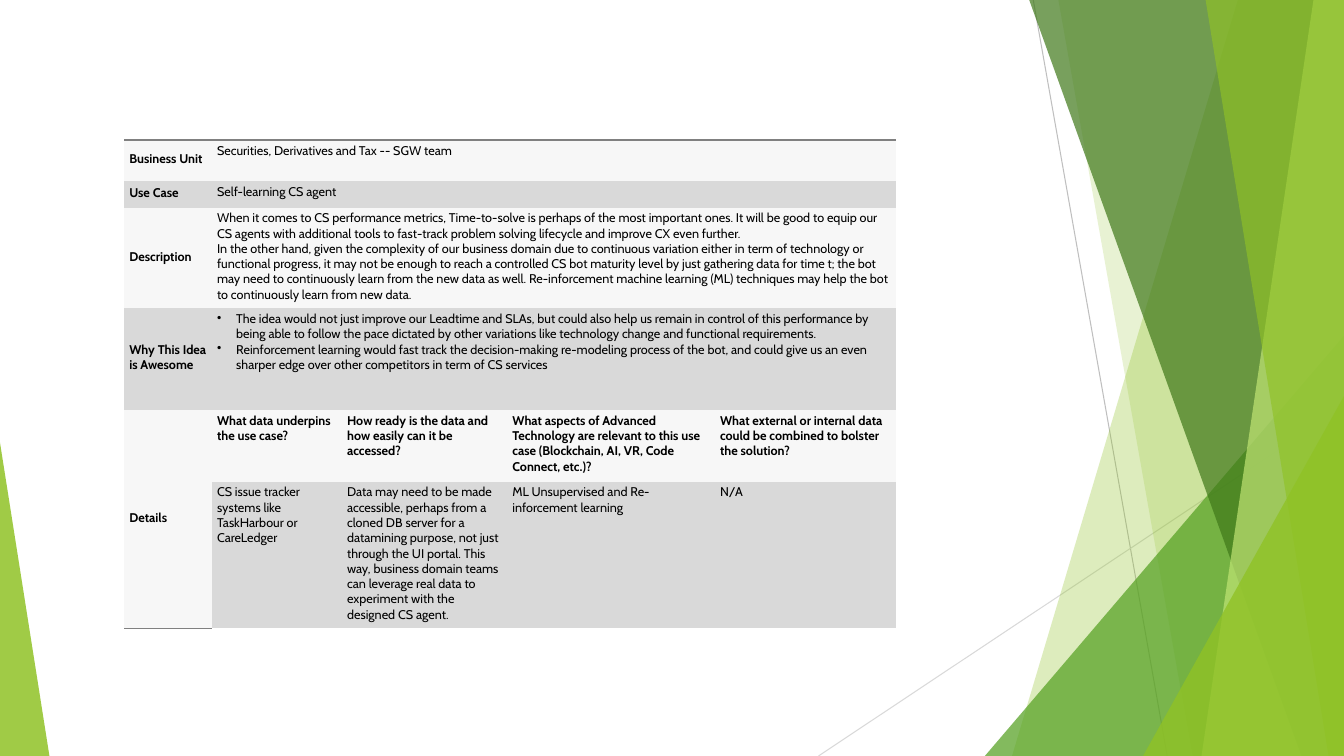
from dataclasses import dataclass

from lxml.etree import SubElement
from pptx import Presentation
from pptx.dml.color import RGBColor
from pptx.enum.shapes import MSO_CONNECTOR as Connector, MSO_SHAPE as Preset
from pptx.enum.text import MSO_ANCHOR as Anchor
from pptx.oxml.ns import qn
from pptx.util import Inches, Pt


@dataclass(frozen=True)
class Theme:
    font: str = "Cabin"
    size: float = 9
    text: str = "000000"
    pale: str = "F7F7F7"
    grey: str = "D9D9D9"
    rule: str = "808080"
    thread: str = "BFBFBF"
    lime: str = "90C226"
    leaf: str = "54A021"
    forest: str = "3F7819"
    mint: str = "C0E474"
    rule_width: float = 1
    thread_width: float = 0.75
    plain_table: str = "{2D5ABB26-0587-4C30-8999-92F81FD0307C}"


def write_text(frame, text, theme, bold=False, bullet=None, indent=0):
    for index, line in enumerate(text.split("\n")):
        paragraph = frame.add_paragraph() if index else frame.paragraphs[0]
        run = paragraph.add_run()
        run.text = line
        run.font.name = theme.font
        run.font.size = Pt(theme.size)
        run.font.bold = bold
        run.font.color.rgb = RGBColor.from_string(theme.text)
        if bullet:
            properties = paragraph._p.get_or_add_pPr()
            properties.set("marL", str(indent))
            properties.set("indent", str(-indent))
            SubElement(properties, qn("a:buChar"), char=bullet)


class SlideBuilder:
    def __init__(self, presentation, theme):
        self.theme = theme
        self.width = presentation.slide_width
        self.height = presentation.slide_height
        self.slide = presentation.slides.add_slide(presentation.slide_layouts[6])

    def across(self, percent):
        return round(self.width * percent / 100)

    def down(self, percent):
        return round(self.height * percent / 100)

    def line(self, start, end, color):
        connector = self.slide.shapes.add_connector(
            Connector.STRAIGHT, self.across(start[0]), self.down(start[1]),
            self.across(end[0]), self.down(end[1]))
        connector.line.color.rgb = RGBColor.from_string(color)
        connector.line.width = Pt(self.theme.thread_width)
        SubElement(connector._element.spPr, qn("a:effectLst"))

    def paint(self, shape, color, opacity):
        shape.shadow.inherit = False
        shape.line.fill.background()
        shape.fill.solid()
        shape.fill.fore_color.rgb = RGBColor.from_string(color)
        color_element = shape._element.spPr.find(qn("a:solidFill"))[0]
        SubElement(color_element, qn("a:alpha"), val=str(opacity * 1000))

    def band(self, top_left, bottom_left, color, opacity):
        builder = self.slide.shapes.build_freeform(self.across(top_left), 0, scale=1.0)
        corners = [(100, 0), (100, 100), (bottom_left, 100)]
        builder.add_line_segments(
            [(self.across(x), self.down(y)) for x, y in corners], close=True)
        self.paint(builder.convert_to_shape(), color, opacity)

    def triangle(self, left, top, right, peak, color, opacity):
        shape = self.slide.shapes.add_shape(
            Preset.ISOSCELES_TRIANGLE, self.across(left), self.down(top),
            self.across(right - left), self.down(100 - top))
        shape.adjustments[0] = peak
        self.paint(shape, color, opacity)

    def table(self, left, top, columns, rows):
        table = self.slide.shapes.add_table(
            len(rows), len(columns), self.across(left), self.down(top),
            self.across(sum(columns)), self.down(sum(rows))).table
        table.first_row = table.horz_banding = False
        table._tbl.tblPr.find(qn("a:tableStyleId")).text = self.theme.plain_table
        for column, share in zip(table.columns, columns):
            column.width = self.across(share)
        for row, share in zip(table.rows, rows):
            row.height = self.down(share)
        return table

    def cell(self, cell, text, fill, anchor=Anchor.TOP, **text_format):
        cell.margin_left = cell.margin_right = self.across(0.39)
        cell.margin_top, cell.margin_bottom = self.down(0.4), self.down(0.8)
        cell.vertical_anchor = anchor
        cell.fill.solid()
        cell.fill.fore_color.rgb = RGBColor.from_string(fill)
        write_text(cell.text_frame, text, self.theme, **text_format)

    def border(self, cell, side):
        properties = cell._tc.get_or_add_tcPr()
        edge = properties.makeelement(qn(f"a:{side}"), {"w": str(Pt(self.theme.rule_width))})
        fill = SubElement(edge, qn("a:solidFill"))
        SubElement(fill, qn("a:srgbClr"), val=self.theme.rule)
        properties.insert(0, edge)


SUMMARY = [
    ("Business Unit", "Securities, Derivatives and Tax -- SGW team"),
    ("Use Case", "Self-learning CS agent"),
    ("Description",
     "When it comes to CS performance metrics, Time-to-solve is perhaps of the most "
     "important ones. It will be good to equip our CS agents with additional tools to "
     "fast-track problem solving lifecycle and improve CX even further.\n"
     "In the other hand, given the complexity of our business domain due to continuous "
     "variation either in term of technology or functional progress, it may not be enough "
     "to reach a controlled CS bot maturity level by just gathering data for time t; the bot "
     "may need to continuously learn from the new data as well. Re-inforcement machine "
     "learning (ML) techniques may help the bot to continuously learn from new data."),
    ("Why This Idea is Awesome",
     "The idea would not just improve our Leadtime and SLAs, but could also help us remain "
     "in control of this performance by being able to follow the pace dictated by other "
     "variations like technology change and functional requirements.\n"
     "Reinforcement learning would fast track the decision-making re-modeling process of the "
     "bot, and could give us an even sharper edge over other competitors in term of CS services"),
]
DETAILS = [
    ("What data underpins the use case?",
     "CS issue tracker systems like TaskHarbour or CareLedger"),
    ("How ready is the data and how easily can it be accessed?",
     "Data may need to be made accessible, perhaps from a cloned DB server for a datamining "
     "purpose, not just through the UI portal. This way, business domain teams can leverage "
     "real data to experiment with the designed CS agent."),
    ("What aspects of Advanced Technology are relevant to this use case "
     "(Blockchain, AI, VR, Code Connect, etc.)?",
     "ML Unsupervised and Re-inforcement learning"),
    ("What external or internal data could be combined to bolster the solution?", "N/A"),
]


def draw_backdrop(page):
    theme = page.theme
    page.line((76.88, 0), (86.85, 100), theme.thread)
    page.line((100, 53.73), (60.9, 100), theme.grey)
    page.band(92.1, 75.3, theme.lime, 30)
    page.band(78.75, 88.73, theme.lime, 20)
    page.triangle(73.28, 44.4, 100, 1, theme.leaf, 72)
    page.band(76.58, 96.83, theme.forest, 70)
    page.band(97.73, 89.4, theme.mint, 70)
    page.band(89.7, 98.85, theme.lime, 65)
    page.triangle(85.05, 52.4, 100, 1, theme.lime, 80)
    page.triangle(0, 58.53, 3.68, 0, theme.lime, 85)


def draw_use_case(page):
    theme = page.theme
    table = page.table(9.23, 18.53, [6.53, 9.68, 12.3, 15.45, 13.5],
                       [5.47, 3.47, 13.2, 13.47, 9.47, 19.33])
    for row, (label, text) in enumerate(SUMMARY):
        fill = theme.grey if row % 2 else theme.pale
        bullets = {"bullet": "•", "indent": page.across(1.43)} if row == 3 else {}
        table.cell(row, 1).merge(table.cell(row, 4))
        page.cell(table.cell(row, 0), label, fill, Anchor.MIDDLE, bold=True)
        page.cell(table.cell(row, 1), text, fill, **bullets)
    question_row = len(SUMMARY)
    answer_row = question_row + 1
    table.cell(question_row, 0).merge(table.cell(answer_row, 0))
    page.cell(table.cell(question_row, 0), "Details", theme.pale, Anchor.MIDDLE, bold=True)
    for column, (question, answer) in enumerate(DETAILS, start=1):
        page.cell(table.cell(question_row, column), question, theme.pale, bold=True)
        page.cell(table.cell(answer_row, column), answer, theme.grey)
    for column in range(len(table.columns)):
        page.border(table.cell(0, column), "lnT")
    for row in (question_row, answer_row):
        page.border(table.cell(row, 0), "lnB")


def main():
    presentation = Presentation()
    presentation.slide_width, presentation.slide_height = Inches(13.33), Inches(7.5)
    page = SlideBuilder(presentation, Theme())
    draw_backdrop(page)
    draw_use_case(page)
    presentation.save("out.pptx")


if __name__ == "__main__":
    main()
